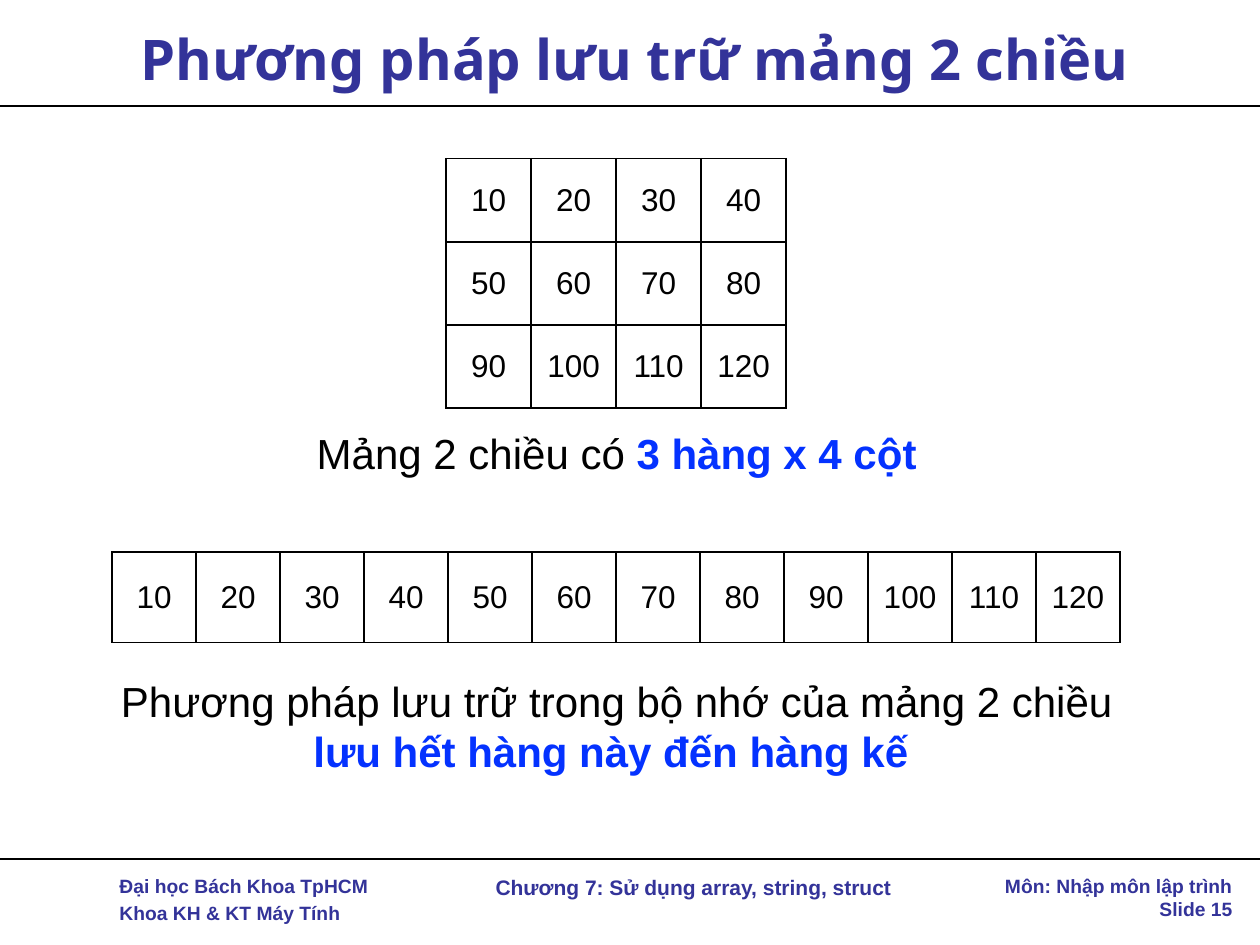
from dataclasses import dataclass
from typing import NamedTuple

from lxml.etree import SubElement
from pptx import Presentation
from pptx.dml.color import RGBColor
from pptx.enum.shapes import MSO_CONNECTOR
from pptx.enum.text import MSO_ANCHOR, PP_ALIGN
from pptx.oxml.ns import qn
from pptx.util import Inches, Pt

BLACK, NAVY, BLUE = "000000", "333399", "0432FF"
LEFT, MID, RIGHT = PP_ALIGN.LEFT, PP_ALIGN.CENTER, PP_ALIGN.RIGHT


class Run(NamedTuple):
    text: str
    color: str = NAVY
    bold: bool = True


@dataclass
class Label:
    box: tuple[float, float, float, float]
    lines: list[list[Run]]
    size: float
    align: PP_ALIGN = MID
    font: str = "Arial"
    anchor: MSO_ANCHOR = MSO_ANCHOR.TOP
    gap: float = 0


@dataclass
class Grid:
    box: tuple[float, float, float, float]
    rows: int
    cols: int


def paint(target, color: str) -> None:
    target.rgb = RGBColor.from_string(color)


def add_run(para, run: Run, size: float, font: str) -> None:
    part = para.add_run()
    part.text = run.text
    part.font.size = Pt(size)
    part.font.name = font
    part.font.bold = run.bold
    paint(part.font.color, run.color)


def add_label(slide, label: Label) -> None:
    frame = slide.shapes.add_textbox(*map(Inches, label.box)).text_frame
    frame.word_wrap = True
    frame.vertical_anchor = label.anchor
    for i, line in enumerate(label.lines):
        para = frame.add_paragraph() if i else frame.paragraphs[0]
        para.alignment = label.align
        if i:
            para.space_before = Pt(label.gap)
        for run in line:
            add_run(para, run, label.size, label.font)


def add_rule(slide, top: float) -> None:
    rule = slide.shapes.add_connector(
        MSO_CONNECTOR.STRAIGHT, Inches(0), Inches(top), Inches(10), Inches(top))
    paint(rule.line.color, BLACK)
    rule.line.width = Pt(1)
    SubElement(rule._element.spPr, qn("a:effectLst"))


def add_edges(cell) -> None:
    props = cell._tc.get_or_add_tcPr()
    for i, side in enumerate(("lnL", "lnR", "lnT", "lnB")):
        edge = props.makeelement(qn(f"a:{side}"), {"w": str(Pt(1))})
        props.insert(i, edge)
        fill = SubElement(edge, qn("a:solidFill"))
        SubElement(fill, qn("a:srgbClr"), val=BLACK)


def add_grid(slide, grid: Grid) -> None:
    width, height = map(Inches, grid.box[2:])
    table = slide.shapes.add_table(
        grid.rows, grid.cols, *map(Inches, grid.box)).table
    table.first_row = table.horz_banding = False
    for col in table.columns:
        col.width = width // grid.cols
    for row in table.rows:
        row.height = height // grid.rows
    for i, cell in enumerate(table.iter_cells(), 1):
        cell.fill.background()
        cell.vertical_anchor = MSO_ANCHOR.MIDDLE
        add_edges(cell)
        para = cell.text_frame.paragraphs[0]
        para.alignment = MID
        add_run(para, Run(str(10 * i), BLACK, False), 18, "Arial")


LABELS = [
    Label((0.85, 6.89, 2.33, 0.51),
          [[Run("Đại học Bách Khoa TpHCM")], [Run("Khoa KH & KT Máy Tính")]],
          11, LEFT, gap=2.2),
    Label((7.83, 6.89, 2.05, 0.47),
          [[Run("Môn: Nhập môn lập trình")], [Run("Slide 15")]], 11, RIGHT),
    Label((3.18, 6.89, 4.65, 0.3),
          [[Run("Chương 7: Sử dụng array, string, struct")]], 12),
    Label((0.33, 0.08, 9.42, 0.76),
          [[Run("Phương pháp lưu trữ mảng 2 chiều")]],
          32, font="Noto Sans", anchor=MSO_ANCHOR.MIDDLE),
    Label((2.08, 3.34, 5.63, 0.5),
          [[Run("Mảng 2 chiều có ", BLACK, False),
            Run("3 hàng x 4 cột", BLUE)]], 24),
    Label((0.62, 5.31, 8.55, 0.91),
          [[Run("Phương pháp lưu trữ trong bộ nhớ của mảng 2 chiều",
                BLACK, False)],
           [Run("lưu hết hàng này đến hàng kế ", BLUE)]], 24),
]
GRIDS = [
    Grid((3.54, 1.26, 2.7, 1.98), 3, 4),
    Grid((0.89, 4.38, 8, 0.72), 1, 12),
]

deck = Presentation()
deck.slide_width, deck.slide_height = Inches(10), Inches(7.5)
slide = deck.slides.add_slide(deck.slide_layouts[6])
for top in (6.82, 0.84):
    add_rule(slide, top)
for label in LABELS:
    add_label(slide, label)
for grid in GRIDS:
    add_grid(slide, grid)
deck.save("out.pptx")
